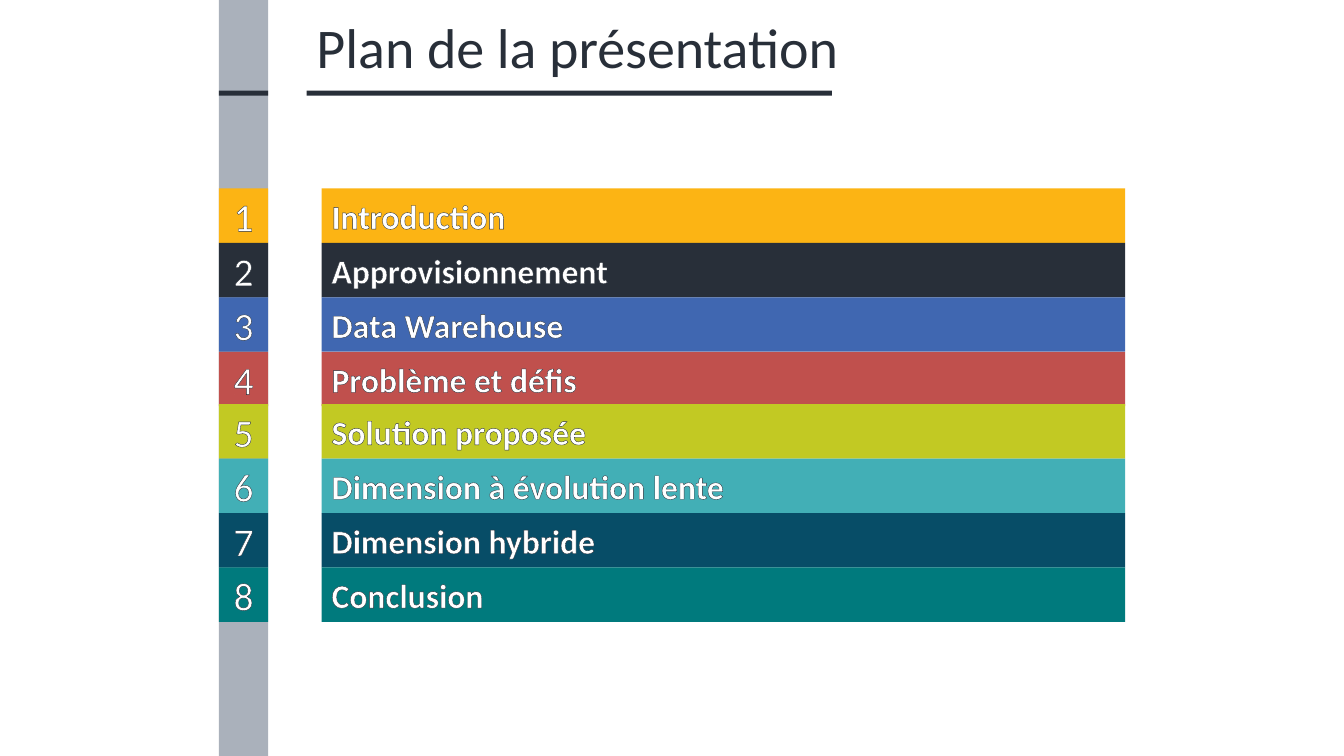
from lxml import etree
from pptx import Presentation
from pptx.dml.color import RGBColor
from pptx.enum import shapes, text
from pptx.oxml import ns
from pptx.util import Inches, Pt

DARK = RGBColor(0x28, 0x2F, 0x39)
SLATE = RGBColor(0x53, 0x61, 0x76)
WHITE = RGBColor(0xFF, 0xFF, 0xFF)
FONT = "Calibri"

TITLE = "Plan de la présentation"
SECTIONS = [
    ("Introduction", RGBColor(0xFC, 0xB4, 0x14)),
    ("Approvisionnement", DARK),
    ("Data Warehouse", RGBColor(0x40, 0x67, 0xB1)),
    ("Problème et défis", RGBColor(0xC0, 0x50, 0x4D)),
    ("Solution proposée", RGBColor(0xC2, 0xC9, 0x23)),
    ("Dimension à évolution lente", RGBColor(0x42, 0xAF, 0xB6)),
    ("Dimension hybride", RGBColor(0x07, 0x4D, 0x67)),
    ("Conclusion", RGBColor(0x00, 0x7A, 0x7D)),
]

SLIDE_WIDTH, SLIDE_HEIGHT = 13.33, 7.5
RAIL_LEFT, RAIL_WIDTH = 2.17, 0.49
TITLE_LEFT = 3.04
RULE_TOP, RULE_HEIGHT = 0.9, 0.05
BAR_LEFT, BAR_WIDTH = 3.19, 7.97
ROW_HEIGHT = 0.54
BLOCK_TOPS = (1.87, 4.01)
ROWS_PER_BLOCK = 4


def add_rectangle(slide, left, top, width, height, color):
    shape = slide.shapes.add_shape(
        shapes.MSO_SHAPE.RECTANGLE,
        Inches(left), Inches(top), Inches(width), Inches(height))
    shape.shadow.inherit = False
    shape.fill.solid()
    shape.fill.fore_color.rgb = color
    shape.line.fill.background()
    return shape


def write(shape, words, size, color, align=text.PP_ALIGN.LEFT, bold=False):
    """Put one vertically centred line of text in the shape and return its run."""
    frame = shape.text_frame
    frame.word_wrap = True
    frame.vertical_anchor = text.MSO_ANCHOR.MIDDLE
    paragraph = frame.paragraphs[0]
    paragraph.alignment = align
    run = paragraph.add_run()
    run.text = words
    run.font.name = FONT
    run.font.size = Pt(size)
    run.font.bold = bold
    run.font.color.rgb = color
    return run


def outline(run, color, width):
    properties = run.font._element
    line = etree.Element(ns.qn("a:ln"), w=str(Pt(width)))
    fill = etree.SubElement(line, ns.qn("a:solidFill"))
    etree.SubElement(fill, ns.qn("a:srgbClr"), val=str(color))
    properties.insert(0, line)


def set_opacity(shape, percent):
    color = shape.fill._xPr.find(".//" + ns.qn("a:srgbClr"))
    etree.SubElement(color, ns.qn("a:alpha"), val=str(percent * 1000))


def main():
    presentation = Presentation()
    presentation.slide_width = Inches(SLIDE_WIDTH)
    presentation.slide_height = Inches(SLIDE_HEIGHT)
    slide = presentation.slides.add_slide(presentation.slide_layouts[6])

    rail = add_rectangle(slide, RAIL_LEFT, 0, RAIL_WIDTH, SLIDE_HEIGHT, SLATE)
    set_opacity(rail, 49)
    for left, width in ((RAIL_LEFT, RAIL_WIDTH), (TITLE_LEFT, 5.21)):
        add_rectangle(slide, left, RULE_TOP, width, RULE_HEIGHT, DARK)

    title = slide.shapes.add_textbox(
        Inches(TITLE_LEFT), Inches(0.08), Inches(5.82), Inches(0.75))
    write(title, TITLE, 40, DARK)

    for index, (name, color) in enumerate(SECTIONS):
        block, row = divmod(index, ROWS_PER_BLOCK)
        top = BLOCK_TOPS[block] + row * ROW_HEIGHT
        number = add_rectangle(slide, RAIL_LEFT, top, RAIL_WIDTH, ROW_HEIGHT, color)
        bar = add_rectangle(slide, BAR_LEFT, top, BAR_WIDTH, ROW_HEIGHT, color)
        outline(write(number, str(index + 1), 28, WHITE, text.PP_ALIGN.CENTER), DARK, 0.25)
        outline(write(bar, name, 24, WHITE, bold=True), DARK, 0.25)

    presentation.save("out.pptx")


if __name__ == "__main__":
    main()
